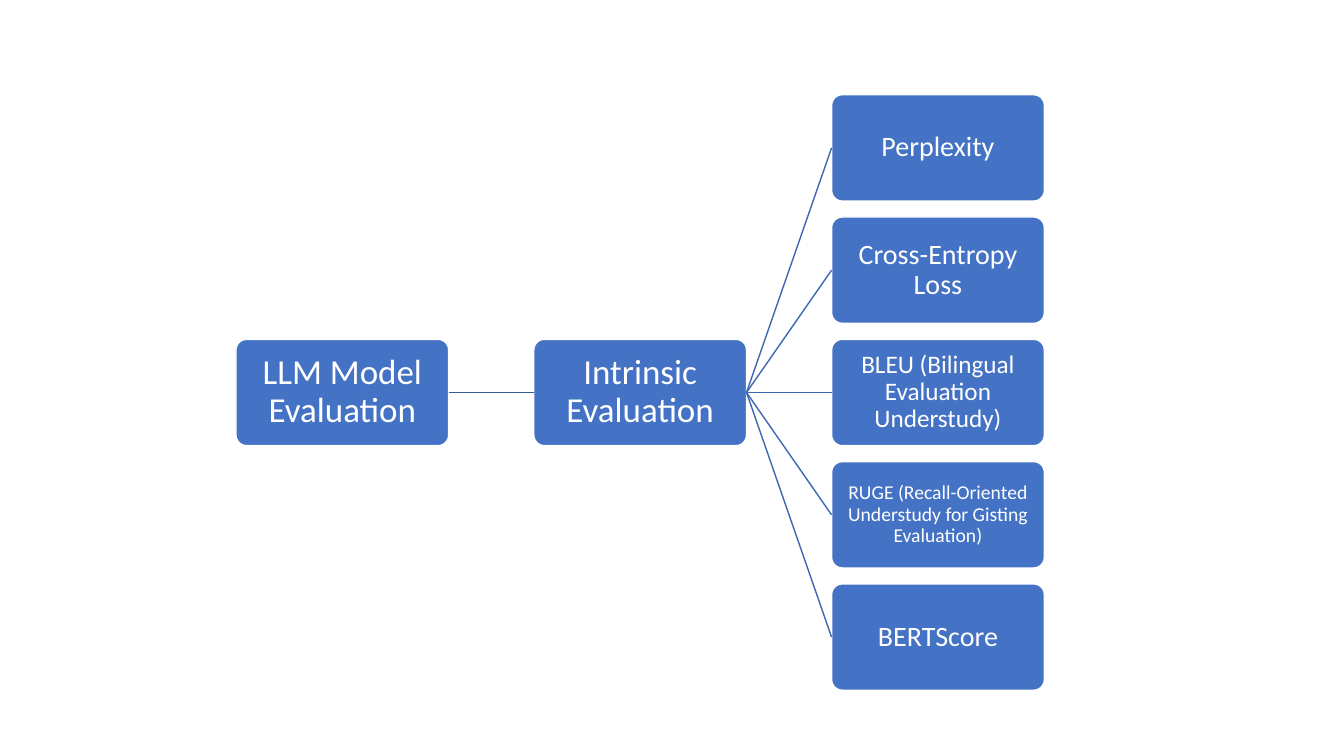
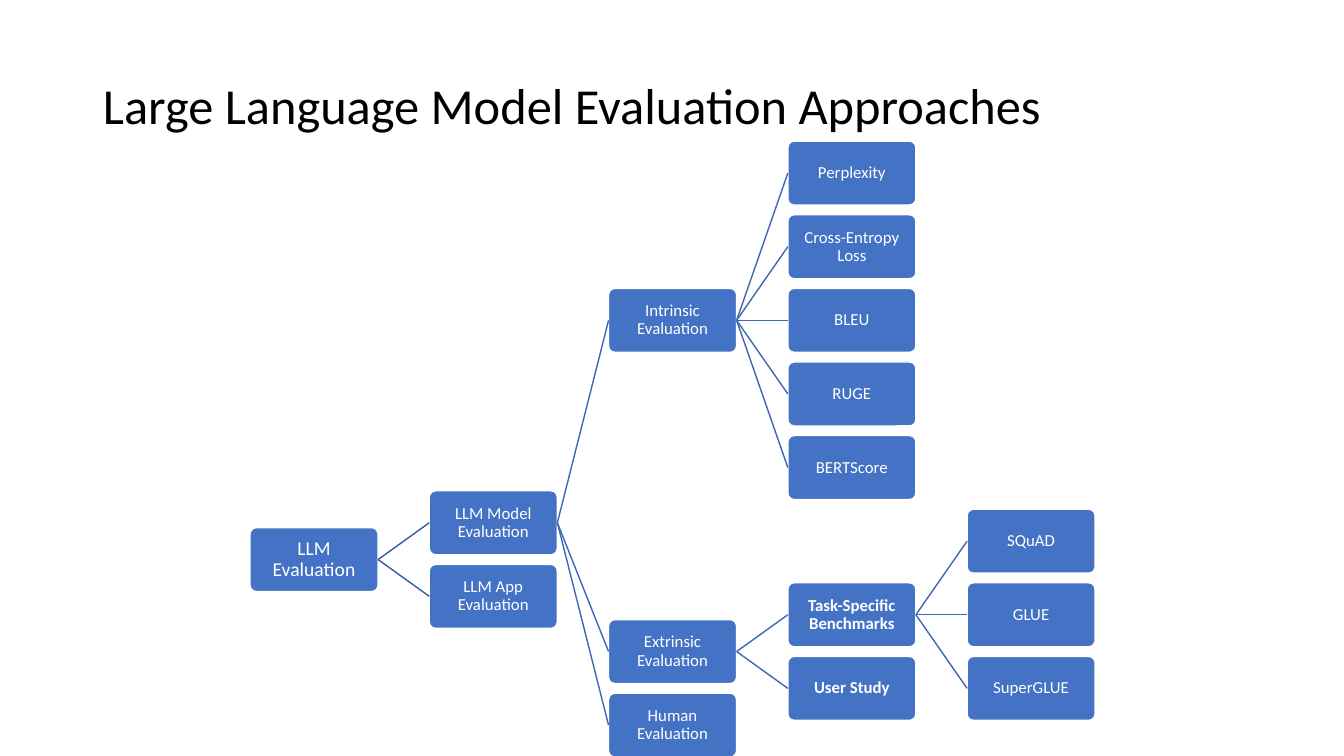
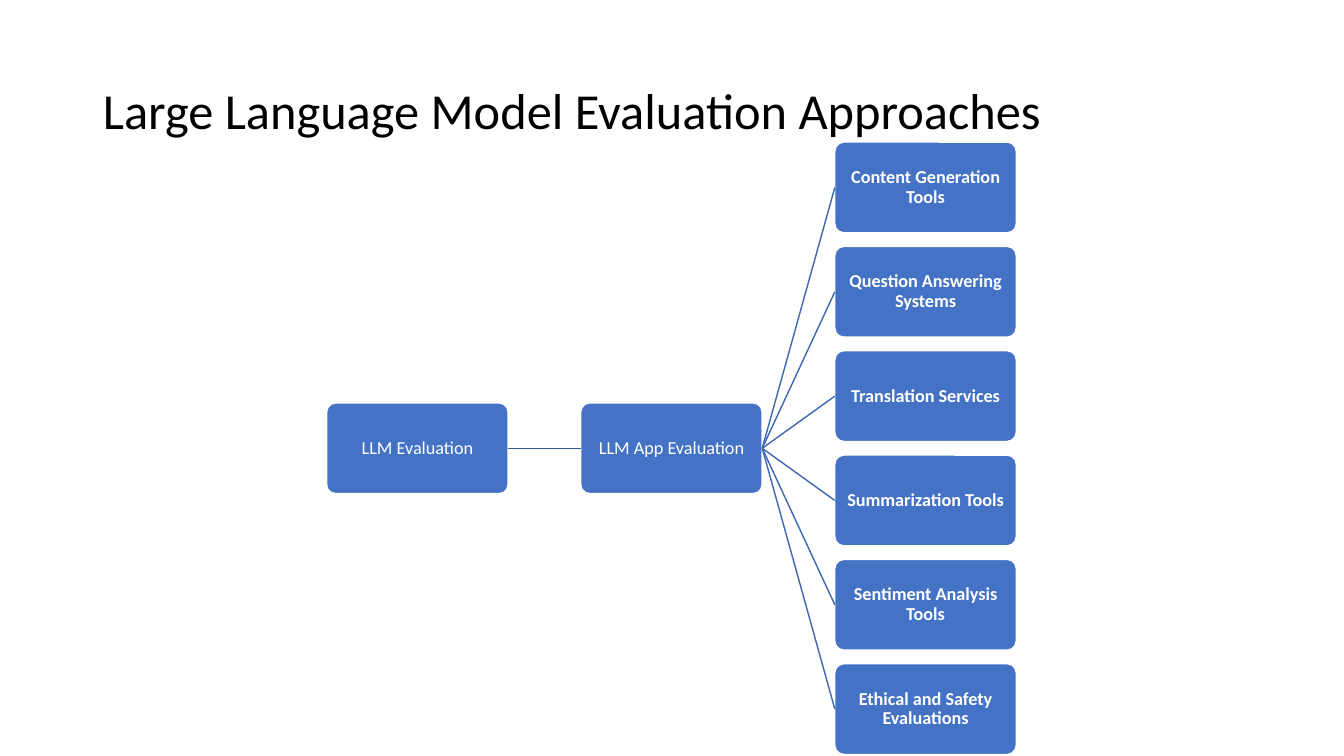
from dataclasses import dataclass

from lxml import etree
from pptx import Presentation
from pptx.dml.color import RGBColor
from pptx.enum.shapes import MSO_CONNECTOR, MSO_SHAPE
from pptx.enum.text import MSO_ANCHOR, MSO_AUTO_SIZE, PP_ALIGN
from pptx.oxml.ns import qn
from pptx.util import Inches, Pt

# Shared style
BLUE = RGBColor(0x44, 0x72, 0xC4)
ROOT_LINE = RGBColor(0x36, 0x5B, 0x9D)
BRANCH_LINE = RGBColor(0x3E, 0x67, 0xB2)
WHITE = RGBColor(0xFF, 0xFF, 0xFF)
BLACK = RGBColor(0, 0, 0)
FONT = "Calibri"
TITLE_ONLY, BLANK = 5, 6

# Box proportions, as shares of the box width or height
HEIGHT_SHARE = 0.5
COLUMN_SHARE = 1.4
ROW_SHARE = 1.15
INSET_SHARE = 0.02


@dataclass
class Node:
    text: str
    size: int
    children: tuple = ()
    bold: bool = False
    depth: int = 0
    row: float = 0


def leaves(size, *texts, bold=False):
    return tuple(Node(text, size, bold=bold) for text in texts)


# Content
TITLE = "Large Language Model Evaluation Approaches"

INTRINSIC_TREE = Node("LLM Model Evaluation", 25, (
    Node("Intrinsic Evaluation", 25, (
        *leaves(20, "Perplexity", "Cross-Entropy Loss"),
        Node("BLEU (Bilingual Evaluation Understudy)", 18),
        Node("RUGE (Recall-Oriented Understudy for Gisting Evaluation)", 14),
        Node("BERTScore", 20),
    )),
))

OVERVIEW_TREE = Node("LLM Evaluation", 14, (
    Node("LLM Model Evaluation", 12, (
        Node("Intrinsic Evaluation", 12, leaves(
            12, "Perplexity", "Cross-Entropy Loss", "BLEU", "RUGE", "BERTScore")),
        Node("Extrinsic Evaluation", 12, (
            Node("Task-Specific Benchmarks", 12,
                 leaves(12, "SQuAD", "GLUE", "SuperGLUE"), bold=True),
            Node("User Study", 12, bold=True),
        )),
        Node("Human Evaluation", 12),
    )),
    Node("LLM App Evaluation", 12),
))

APP_TREE = Node("LLM Evaluation", 13, (
    Node("LLM App Evaluation", 13, leaves(
        13, "Content Generation Tools", "Question Answering Systems",
        "Translation Services", "Summarization Tools",
        "Sentiment Analysis Tools", "Ethical and Safety Evaluations", bold=True)),
))

# Tree, left and top of the tree, box width, top of the title (None: no title)
SLIDES = [
    (INTRINSIC_TREE, 2.34, 0.94, 2.11, None),
    (OVERVIEW_TREE, 2.48, 1.4, 1.27, 0.35),
    (APP_TREE, 3.24, 1.41, 1.8, 0.4),
]


def arrange(node, depth=0, start=0):
    """Set depth and row of each node; return the lowest row of the subtree."""
    node.depth, node.row = depth, start
    if not node.children:
        return start
    bottom, previous = start - 1, None
    for child in node.children:
        # A leaf follows its sibling, a branch clears the whole subtree above
        above = previous.row if previous and not child.children else bottom
        bottom = max(bottom, arrange(child, depth + 1, above + 1))
        previous = child
    node.row = (node.children[0].row + node.children[-1].row) / 2
    return bottom


def add_box(slide, node, left, top, width):
    height = width * HEIGHT_SHARE
    box = slide.shapes.add_shape(
        MSO_SHAPE.ROUNDED_RECTANGLE,
        Inches(left + node.depth * width * COLUMN_SHARE),
        Inches(top + node.row * height * ROW_SHARE),
        Inches(width), Inches(height))
    box.adjustments[0] = 0.1
    box.shadow.inherit = False
    box.fill.solid()
    box.fill.fore_color.rgb = BLUE
    box.line.color.rgb = WHITE
    box.line.width = Pt(1)

    frame = box.text_frame
    frame.word_wrap = True
    frame.vertical_anchor = MSO_ANCHOR.MIDDLE
    inset = Inches(width * INSET_SHARE)
    frame.margin_left = frame.margin_right = inset
    frame.margin_top = frame.margin_bottom = inset
    paragraph = frame.paragraphs[0]
    paragraph.text = node.text
    paragraph.alignment = PP_ALIGN.CENTER
    paragraph.line_spacing = 0.9
    font = paragraph.font
    font.name, font.size, font.bold = FONT, Pt(node.size), node.bold
    font.color.rgb = WHITE
    return box


def add_link(slide, parent_box, child_box, color):
    link = slide.shapes.add_connector(MSO_CONNECTOR.STRAIGHT, 0, 0, 0, 0)
    link.begin_connect(parent_box, 3)
    link.end_connect(child_box, 1)
    link.line.color.rgb = color
    link.line.width = Pt(1)
    etree.SubElement(link._element.spPr, qn("a:effectLst"))


def draw_tree(slide, node, left, top, width):
    box = add_box(slide, node, left, top, width)
    color = BRANCH_LINE if node.depth else ROOT_LINE
    for child in node.children:
        add_link(slide, box, draw_tree(slide, child, left, top, width), color)
    return box


def set_title(slide, top):
    title = slide.shapes.title
    title.left, title.top = Inches(0.92), Inches(top)
    title.width, title.height = Inches(11.5), Inches(1.45)
    frame = title.text_frame
    frame.text = TITLE
    frame.word_wrap = True
    frame.auto_size = MSO_AUTO_SIZE.NONE
    frame.vertical_anchor = MSO_ANCHOR.MIDDLE
    paragraph = frame.paragraphs[0]
    paragraph.alignment = PP_ALIGN.LEFT
    paragraph.line_spacing = 0.9
    paragraph.font.name, paragraph.font.size = FONT, Pt(36)
    paragraph.font.color.rgb = BLACK


def main():
    presentation = Presentation()
    presentation.slide_width = Inches(13.33)
    presentation.slide_height = Inches(7.5)
    for tree, left, top, width, title_top in SLIDES:
        layout = BLANK if title_top is None else TITLE_ONLY
        slide = presentation.slides.add_slide(presentation.slide_layouts[layout])
        if title_top is not None:
            set_title(slide, title_top)
        arrange(tree)
        draw_tree(slide, tree, left, top, width)
    presentation.save("out.pptx")


if __name__ == "__main__":
    main()
